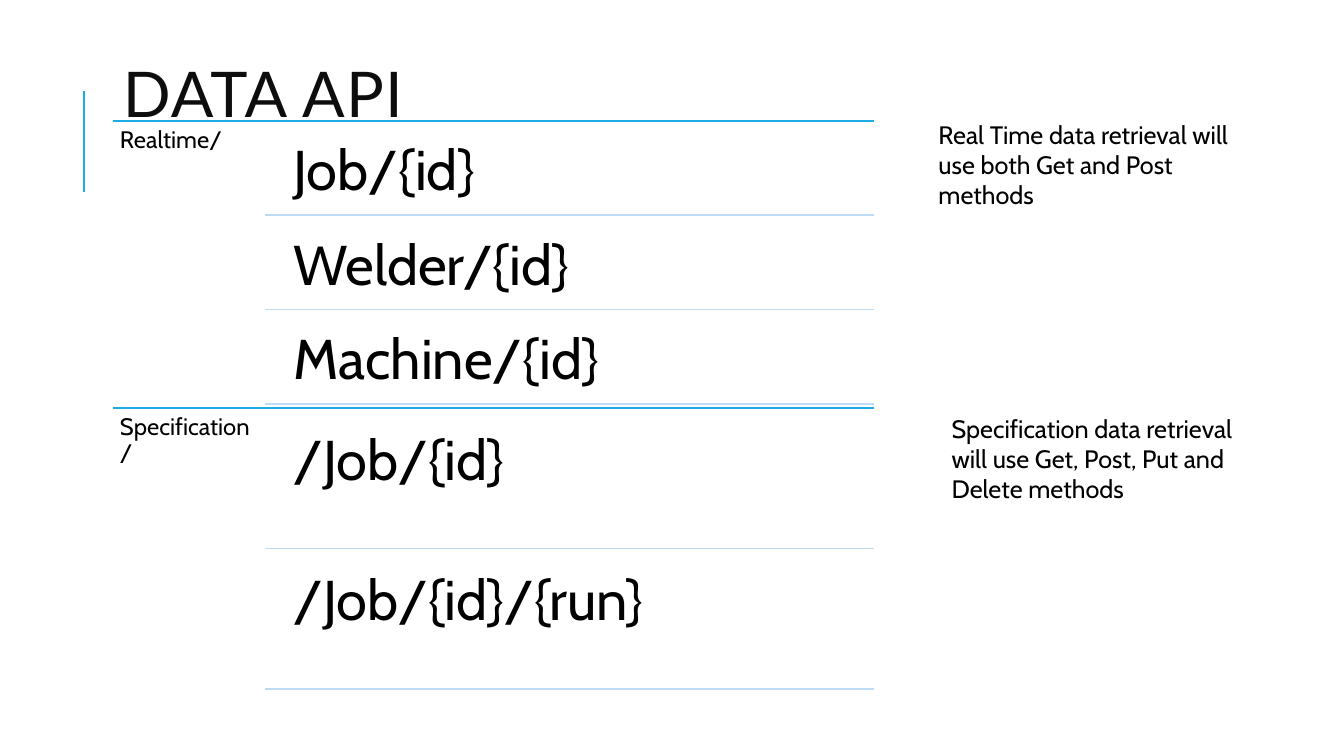
"""Build the Data API slide: two groups of endpoints with notes on their methods."""
from lxml import etree
from pptx import Presentation
from pptx.dml.color import RGBColor
from pptx.enum.shapes import MSO_CONNECTOR
from pptx.enum.text import MSO_ANCHOR
from pptx.oxml.ns import qn
from pptx.util import Inches, Pt

STRAIGHT = MSO_CONNECTOR.STRAIGHT
TOP, MIDDLE = MSO_ANCHOR.TOP, MSO_ANCHOR.MIDDLE
BLACK = RGBColor(0x00, 0x00, 0x00)
INK = RGBColor(0x0D, 0x0D, 0x0D)
BLUE = RGBColor(0x1C, 0xAD, 0xE4)
PALE_BLUE = RGBColor(0xBD, 0xDB, 0xF2)

LEFT, RIGHT = 1.12, 8.67
ENDPOINT_RULE_LEFT, ENDPOINT_LEFT = 2.63, 2.74
GROUP_TOP, GROUP_HEIGHT = 1.2, 2.85
GAP_SHARE = 0.05

GROUPS = [
    ("Realtime/", ["Job/{id}", "Welder/{id}", "Machine/{id}"]),
    ("Specification/", ["/Job/{id}", "/Job/{id}/{run}"]),
]
NOTES = [
    (9.21, 1.13, "Real Time data retrieval will use both Get and Post methods"),
    (9.34, 4.05, "Specification data retrieval will use Get, Post, Put and Delete methods"),
]

prs = Presentation()
prs.slide_width, prs.slide_height = Inches(13.33), Inches(7.5)
slide = prs.slides.add_slide(prs.slide_layouts[6])


def add_rule(x1, y1, x2, y2, color, width=1.25):
    rule = slide.shapes.add_connector(STRAIGHT, Inches(x1), Inches(y1), Inches(x2), Inches(y2))
    rule.line.color.rgb = color
    rule.line.width = Pt(width)
    etree.SubElement(rule._element.spPr, qn("a:effectLst"))


def add_text(box, text, size, inset=None, spacing=1.0, font="Cabin", color=BLACK, anchor=TOP):
    frame = slide.shapes.add_textbox(*map(Inches, box)).text_frame
    frame.word_wrap = True
    frame.vertical_anchor = anchor
    if inset is not None:
        for side in ("left", "top", "right", "bottom"):
            setattr(frame, f"margin_{side}", Inches(inset))
    paragraph = frame.paragraphs[0]
    paragraph.line_spacing = spacing
    run = paragraph.add_run()
    run.text = text
    run.font.size = Pt(size)
    run.font.name = font
    run.font.color.rgb = color
    return run


add_rule(0.83, 1.9, 0.83, 0.9, BLUE, 1.5)
title = add_text((LEFT, 0.64, 10.63, 0.7), "DATA API", 45,
                 spacing=0.8, font="Lato", color=INK, anchor=MIDDLE)
title.font._element.set("spc", "100")

for index, (group, endpoints) in enumerate(GROUPS):
    top = GROUP_TOP + index * GROUP_HEIGHT
    count = len(endpoints)
    row_height = GROUP_HEIGHT / (count + (count + 1) * GAP_SHARE)
    gap = row_height * GAP_SHARE
    add_rule(LEFT, top, RIGHT, top, BLUE)
    add_text((LEFT, top, 1.51, GROUP_HEIGHT), group, 17, inset=0.07, spacing=0.9)
    for row, endpoint in enumerate(endpoints):
        row_top = top + gap + row * (row_height + gap)
        row_bottom = row_top + row_height
        add_text((ENDPOINT_LEFT, row_top, RIGHT - ENDPOINT_LEFT, row_height),
                 endpoint, 40, inset=0.17, spacing=0.9)
        add_rule(ENDPOINT_RULE_LEFT, row_bottom, RIGHT, row_bottom, PALE_BLUE)

for left, top, note in NOTES:
    add_text((left, top, 3.23, 1.01), note, 18)

prs.save("out.pptx")
